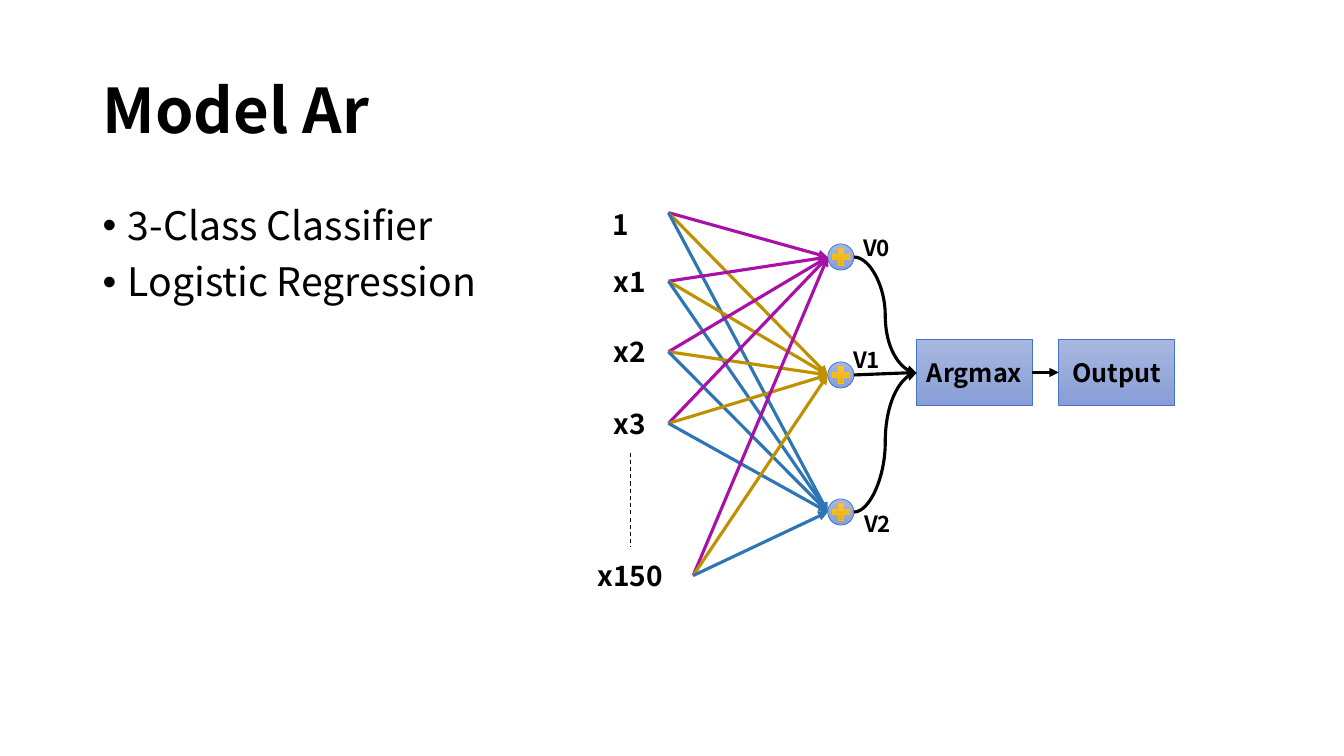
from dataclasses import dataclass

from lxml import etree
from pptx import Presentation
from pptx.dml.color import RGBColor
from pptx.enum.dml import MSO_LINE
from pptx.enum.shapes import MSO_CONNECTOR, MSO_SHAPE
from pptx.enum.text import MSO_ANCHOR, PP_ALIGN
from pptx.oxml.ns import qn
from pptx.util import Inches, Pt

OVAL, RECT, PLUS = MSO_SHAPE.OVAL, MSO_SHAPE.RECTANGLE, MSO_SHAPE.MATH_PLUS
LINE, CURVE = MSO_CONNECTOR.STRAIGHT, MSO_CONNECTOR.CURVE
TOP, MIDDLE = MSO_ANCHOR.TOP, MSO_ANCHOR.MIDDLE
LEFT, CENTER = PP_ALIGN.LEFT, PP_ALIGN.CENTER
DASH = MSO_LINE.DASH


@dataclass(frozen=True)
class Theme:
    font: str = "Noto Sans CJK SC"
    ink: str = "000000"
    blue: tuple = ("A8B7DF", "889ED7", "4472C4")  # top, bottom, edge
    gold: tuple = ("FFC64B", "E3AB00", "FFC000")
    rays: tuple = ("A810A8", "BF9000", "2E75B6")  # one per class
    title: int = 44
    body: int = 28
    input: int = 20
    block: int = 18
    tag: int = 16
    edge: float = 0.5
    thin: float = 0.75
    thick: float = 2.25


def rgb(code):
    return RGBColor.from_string(code)


def write(frame, text, font, size, color, bold=True, align=CENTER,
          anchor=MIDDLE, bullet=False, wrap=True, spacing=None, before=0):
    """Fill a text frame, one paragraph per line of text."""
    frame.word_wrap = wrap
    frame.vertical_anchor = anchor
    for i, line in enumerate(text.split("\n")):
        para = frame.paragraphs[0] if i == 0 else frame.add_paragraph()
        para.alignment = align
        para.line_spacing = spacing
        para.space_before = Pt(before)
        run = para.add_run()
        run.text = line
        run.font.name = font
        run.font.size = Pt(size)
        run.font.bold = bold
        run.font.color.rgb = rgb(color)
        if bullet:
            props = para._p.get_or_add_pPr()
            props.set("marL", str(Inches(0.25)))
            props.set("indent", str(Inches(-0.25)))
            etree.SubElement(props, qn("a:buFont")).set("typeface", "Arial")
            etree.SubElement(props, qn("a:buChar")).set("char", "•")


class Board:
    def __init__(self, slide, theme):
        self.shapes = slide.shapes
        self.theme = theme

    def text(self, text, x, y, w, h, size, **form):
        box = self.shapes.add_textbox(Inches(x), Inches(y), Inches(w), Inches(h))
        write(box.text_frame, text, self.theme.font, size, self.theme.ink, **form)

    def shape(self, kind, x, y, w, h, paint=None, text="", size=0, **form):
        """Add a shape centred on x, y; paint is (top, bottom, edge)."""
        item = self.shapes.add_shape(kind, Inches(x - w / 2), Inches(y - h / 2),
                                     Inches(w), Inches(h))
        item.shadow.inherit = False
        if paint:
            item.fill.gradient()
            item.fill.gradient_angle = 270
            for stop, color in zip(item.fill.gradient_stops, paint):
                stop.color.rgb = rgb(color)
            item.line.color.rgb = rgb(paint[2])
            item.line.width = Pt(self.theme.edge)
        else:
            item.fill.background()
            item.line.fill.background()
        if text:
            write(item.text_frame, text, self.theme.font, size,
                  self.theme.ink, **form)
        return item

    def link(self, start, end, color, width, kind=LINE, head="triangle", dash=None):
        ends = [Inches(v) for v in (*start, *end)]
        wire = self.shapes.add_connector(kind, *ends)
        wire.line.color.rgb = rgb(color)
        wire.line.width = Pt(width)
        if dash:
            wire.line.dash_style = dash
        if head:
            stroke = wire.line._get_or_add_ln()
            etree.SubElement(stroke, qn("a:tailEnd")).set("type", head)
        etree.SubElement(wire._element.spPr, qn("a:effectLst"))
        return wire


def main():
    deck = Presentation()
    deck.slide_width, deck.slide_height = Inches(13.33), Inches(7.5)
    theme = Theme()
    board = Board(deck.slides.add_slide(deck.slide_layouts[6]), theme)

    # Title and bullets
    board.text("Model Ar", 0.92, 0.4, 11.5, 1.45, theme.title,
               align=LEFT, spacing=0.9)
    board.text("3-Class Classifier\nLogistic Regression", 0.92, 2, 11.5, 4.76,
               theme.body, bold=False, align=LEFT, anchor=TOP, bullet=True,
               spacing=0.9, before=10)

    # Inputs: name, middle height, width
    inputs = [("1", 2.11, 0.76), ("x1", 2.79, 0.76), ("x2", 3.49, 0.76),
              ("x3", 4.2, 0.76), ("x150", 5.71, 1.25)]
    mid = 6.25
    board.link((mid, 4.49), (mid, 5.43), theme.ink, theme.thin,
               head=None, dash=DASH)
    for name, y, w in inputs:
        label = board.shape(OVAL, mid, y, w, 0.53, text=name,
                            size=theme.input, wrap=False)
        if name == "1":  # the bias sits a little low and left
            label.text_frame.margin_top = Inches(0.28)
            label.text_frame.margin_right = Inches(0.28)

    # Sum nodes: name, middle height, tag corner
    nodes = [("V0", 2.55, 8.38, 2.21), ("V1", 3.72, 8.28, 3.32),
             ("V2", 5.08, 8.39, 4.94)]
    hub, ring = 8.34, 0.26
    for name, y, left, top in nodes:
        board.shape(OVAL, hub, y, ring, ring, theme.blue)
        board.shape(PLUS, hub, y, 0.22, 0.23, theme.gold)
        board.text(name, left, top, 0.63, 0.5, theme.tag)

    # Blocks
    argmax, output = [
        board.shape(RECT, x, 3.695, 1.15, 0.65, theme.blue, name, theme.block,
                    wrap=False)
        for name, x in (("Argmax", 9.665), ("Output", 11.075))]

    # Weights from every input to every node
    for _, y, w in inputs:
        for (_, goal, *_), color in zip(nodes, theme.rays):
            board.link((mid + w / 2, y), (hub - ring / 2, goal), color, theme.thick)

    # Nodes to Argmax to Output
    for name, y, *_ in nodes:
        kind = LINE if name == "V1" else CURVE
        wire = board.link((hub + ring / 2, y), (9.09, 3.7), theme.ink,
                          theme.thick, kind)
        if kind == LINE:
            wire.end_connect(argmax, 1)
    wire = board.link((10.24, 3.7), (10.5, 3.7), theme.ink, theme.thick)
    wire.begin_connect(argmax, 3)
    wire.end_connect(output, 1)

    deck.save("out.pptx")


if __name__ == "__main__":
    main()
